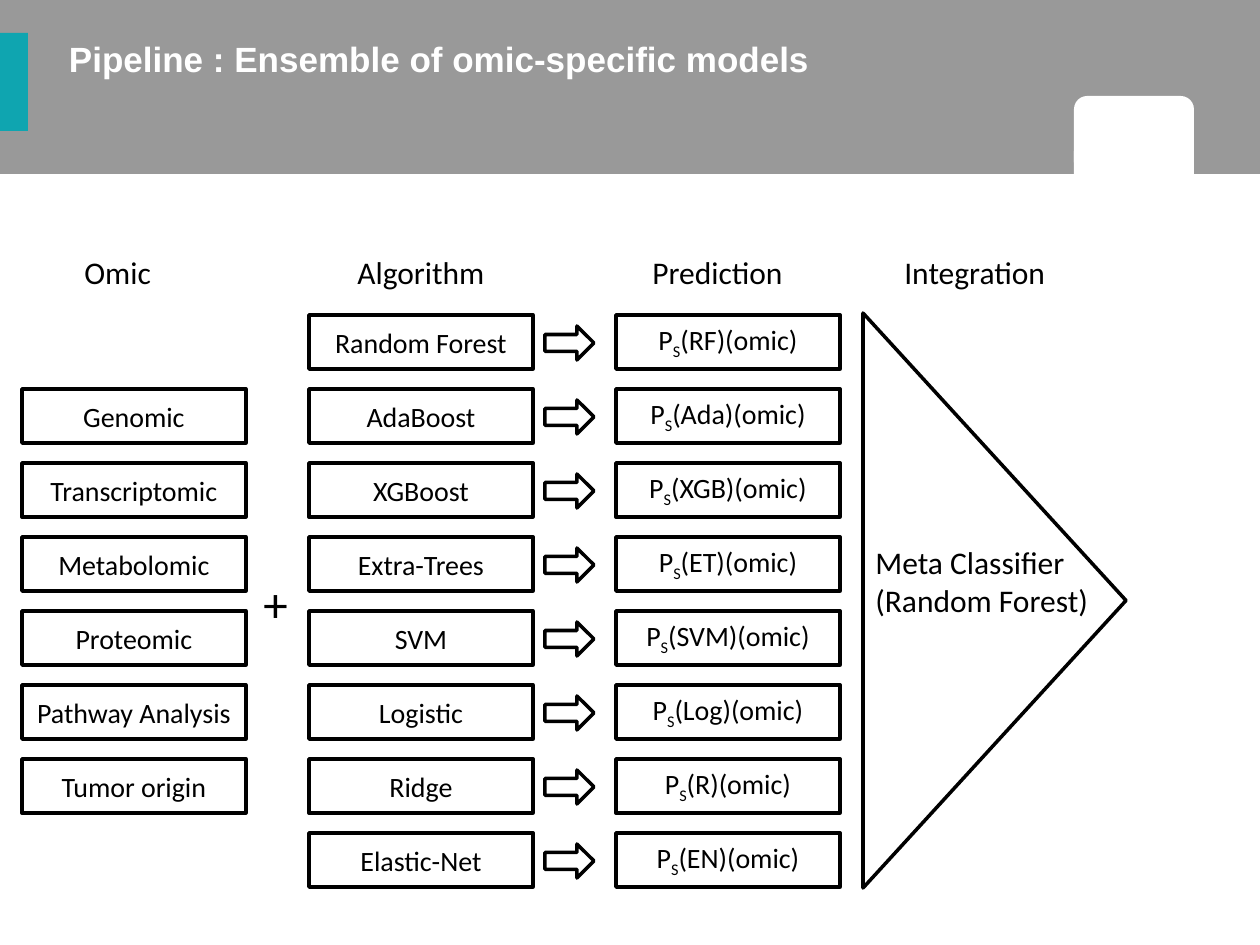
from lxml.etree import SubElement
from pptx import Presentation
from pptx.dml.color import RGBColor
from pptx.enum.shapes import MSO_SHAPE
from pptx.enum.text import MSO_ANCHOR, PP_ALIGN
from pptx.oxml.ns import qn
from pptx.util import Emu, Pt

TITLE = "Pipeline : Ensemble of omic-specific models"
HEADINGS = [("Omic", 62), ("Algorithm", 335), ("Prediction", 630), ("Integration", 882)]
OMICS = ["Genomic", "Transcriptomic", "Metabolomic", "Proteomic", "Pathway Analysis", "Tumor origin"]
ALGORITHMS = [
    ("Random Forest", "RF"),
    ("AdaBoost", "Ada"),
    ("XGBoost", "XGB"),
    ("Extra-Trees", "ET"),
    ("SVM", "SVM"),
    ("Logistic", "Log"),
    ("Ridge", "R"),
    ("Elastic-Net", "EN"),
]
META = "Meta Classifier (Random Forest)"

BLACK, WHITE, GREY, TEAL = "000000", "FFFFFF", "808080", "0FA5B0"
OMIC_LEFT, ALGORITHM_LEFT, ARROW_LEFT, PREDICTION_LEFT = 22, 309, 545, 616
ROW_TOP, ROW_PITCH = 315, 74
BOX_WIDTH, BOX_HEIGHT = 224, 54
ARROW_WIDTH, ARROW_HEIGHT, ARROW_DROP = 49, 34, 11


def px(value):
    return Emu(round(value * 914400 / 126))


def color(value):
    return RGBColor.from_string(value)


def add_shape(kind, left, top, width, height, fill=WHITE, line=None):
    shape = slide.shapes.add_shape(kind, px(left), px(top), px(width), px(height))
    shape.shadow.inherit = False
    shape.fill.solid()
    shape.fill.fore_color.rgb = color(fill)
    if line:
        shape.line.color.rgb = color(line)
        shape.line.width = Pt(2)
    else:
        shape.line.fill.background()
    return shape


def add_run(paragraph, text, size, font="Calibri", ink=BLACK, bold=False, baseline=0):
    run = paragraph.add_run()
    run.text = text
    run.font.size = Pt(size)
    run.font.name = font
    run.font.bold = bold
    run.font.color.rgb = color(ink)
    if baseline:
        run.font._element.set("baseline", str(baseline * 1000))


def add_text(left, top, width, height):
    box = slide.shapes.add_textbox(px(left), px(top), px(width), px(height))
    box.text_frame.word_wrap = True
    return box.text_frame


def add_box(left, row, runs):
    shape = add_shape(MSO_SHAPE.RECTANGLE, left, ROW_TOP + row * ROW_PITCH, BOX_WIDTH, BOX_HEIGHT, line=BLACK)
    shape.text_frame.word_wrap = True
    shape.text_frame.vertical_anchor = MSO_ANCHOR.MIDDLE
    paragraph = shape.text_frame.paragraphs[0]
    paragraph.alignment = PP_ALIGN.CENTER
    for text, baseline in runs:
        add_run(paragraph, text, 16, baseline=baseline)


presentation = Presentation()
presentation.slide_width, presentation.slide_height = px(1260), px(945)
slide = presentation.slides.add_slide(presentation.slide_layouts[6])

banner = add_shape(MSO_SHAPE.RECTANGLE, 0, 0, 1260, 174, GREY)
banner_color = banner.fill._xPr.find(qn("a:solidFill"))[0]
SubElement(banner_color, qn("a:alpha"), val="80000")
add_shape(MSO_SHAPE.RECTANGLE, 0, 33, 28, 98, TEAL)
add_shape(MSO_SHAPE.ROUNDED_RECTANGLE, 1074, 96, 120, 79)
add_shape(MSO_SHAPE.RECTANGLE, 1074, 151, 120, 24)

title = add_text(69, 37, 993, 95)
title.margin_left = title.margin_top = title.margin_right = title.margin_bottom = 0
add_run(title.paragraphs[0], TITLE, 20, "Arial", WHITE, True)

for row, omic in enumerate(OMICS, start=1):
    add_box(OMIC_LEFT, row, [(omic, 0)])

for row, (algorithm, code) in enumerate(ALGORITHMS):
    add_box(ALGORITHM_LEFT, row, [(algorithm, 0)])
    add_shape(MSO_SHAPE.RIGHT_ARROW, ARROW_LEFT, ROW_TOP + ARROW_DROP + row * ROW_PITCH,
              ARROW_WIDTH, ARROW_HEIGHT, line=BLACK)
    add_box(PREDICTION_LEFT, row, [("P", 0), ("S", -25), (f"({code})(omic)", 0)])

add_run(add_text(251, 567, 44, 72).paragraphs[0], "+", 28)

triangle = add_shape(MSO_SHAPE.ISOSCELES_TRIANGLE, 707, 469, 575, 263, line=BLACK)
triangle.rotation = 90
add_run(add_text(863, 537, 277, 127).paragraphs[0], META, 18)

heading = add_text(10, 247, 1212, 50).paragraphs[0]
tab_list = SubElement(heading._p.get_or_add_pPr(), qn("a:tabLst"))
for label, position in HEADINGS:
    SubElement(tab_list, qn("a:tab"), pos=str(px(position)), algn="l")
    add_run(heading, "\t" + label, 18)

presentation.save("out.pptx")
